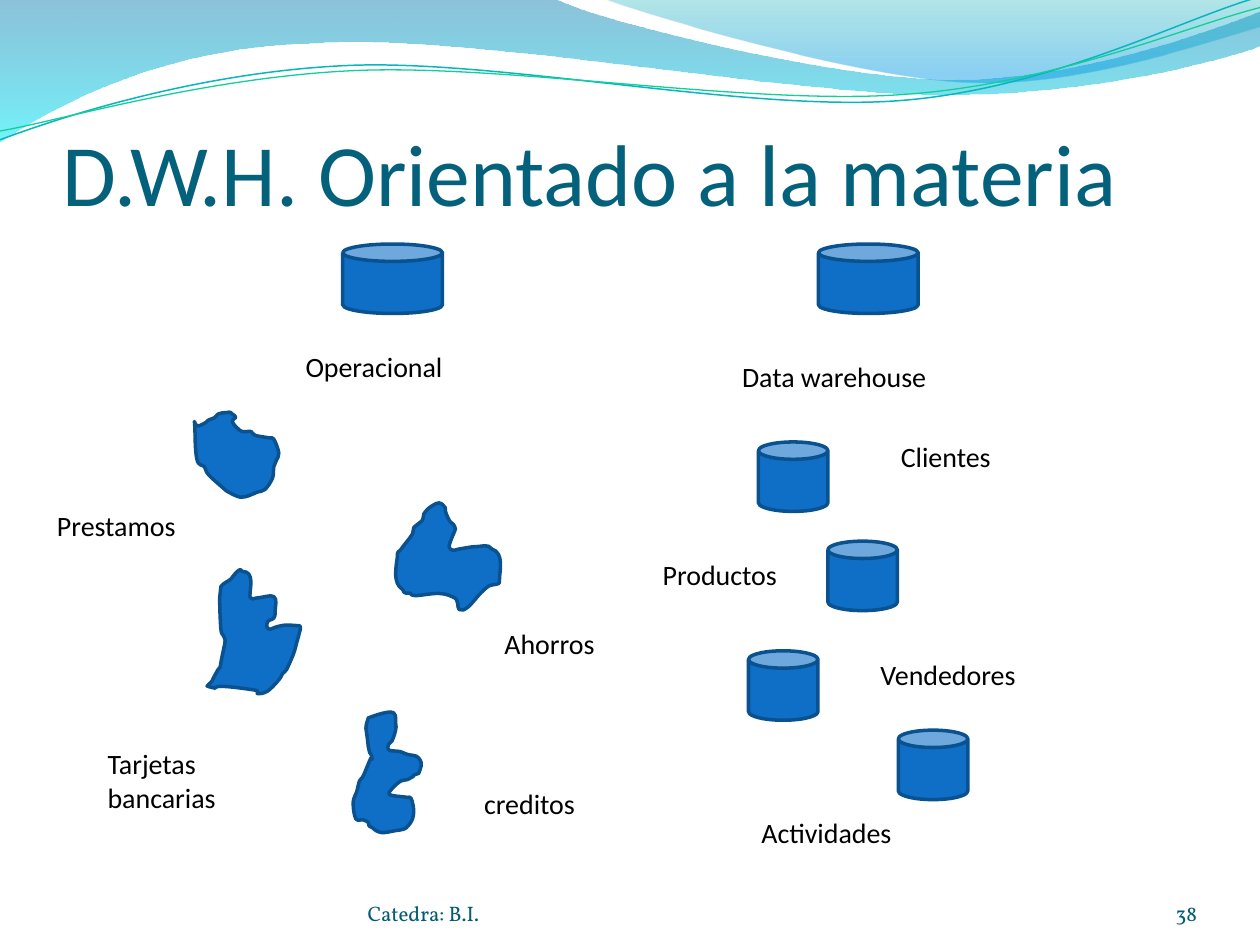
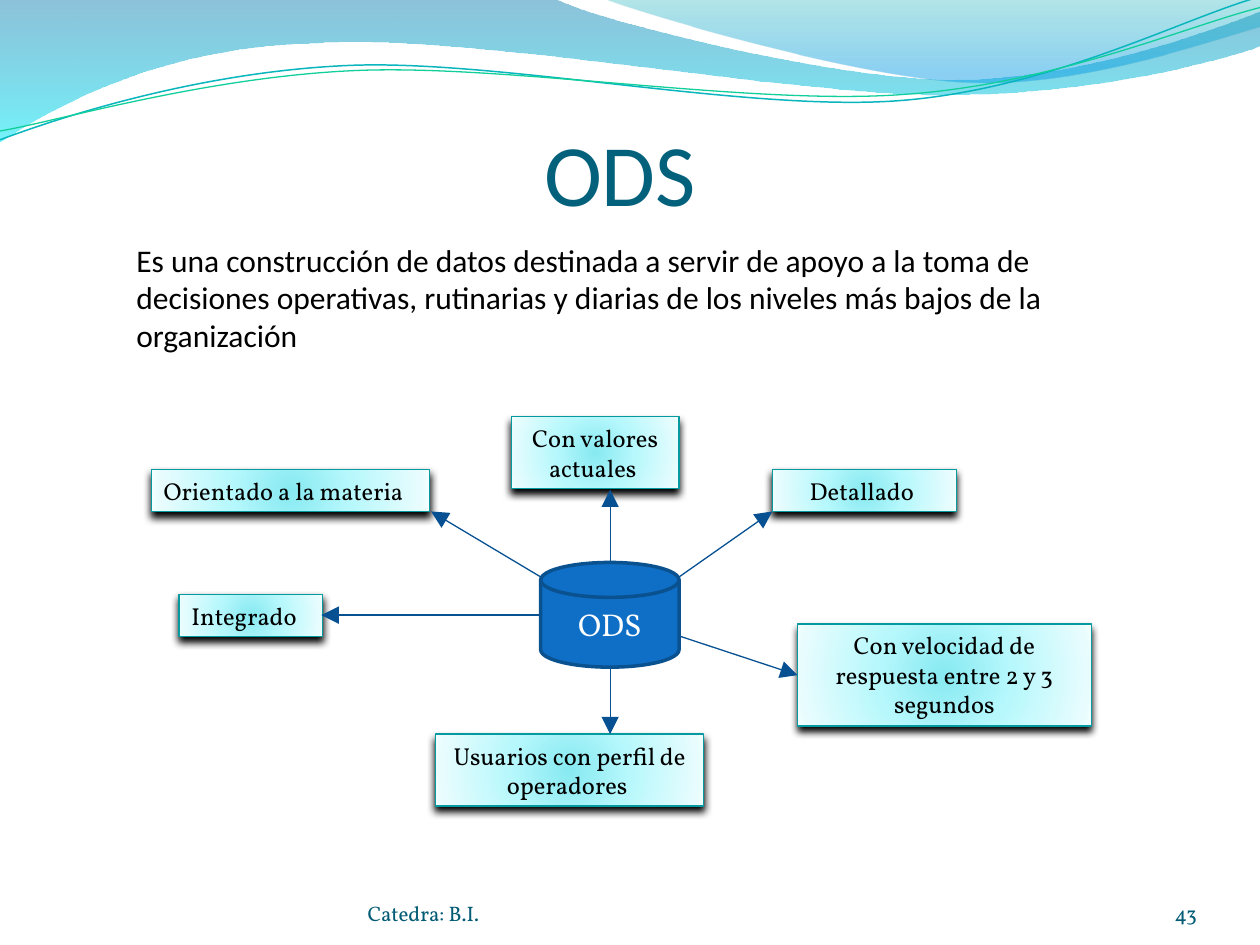
from lxml import etree
from pptx import Presentation, util as u
from pptx.dml.color import RGBColor
from pptx.enum import shapes, text
from pptx.oxml.ns import nsdecls, qn

BLACK = RGBColor(0, 0, 0)
WHITE = RGBColor(255, 255, 255)
TITLE = RGBColor(0x04, 0x61, 0x7B)
FOOT = RGBColor(0x03, 0x5C, 0x75)
BLUE = RGBColor(0x0F, 0x6F, 0xC6)
EDGE = RGBColor(0x0A, 0x51, 0x90)
ARROW = RGBColor(0x07, 0x51, 0x92)
TEAL = RGBColor(0x05, 0x99, 0xA0)
WAVE = RGBColor(0x09, 0xB6, 0xBE)
GREEN = RGBColor(0x10, 0xCF, 0x9B)

SANS, SERIF = "Calibri", "Vollkorn"
ALIGN, ANCHOR = text.PP_ALIGN, text.MSO_ANCHOR
CAN = shapes.MSO_SHAPE.CAN
DISK = shapes.MSO_SHAPE.FLOWCHART_MAGNETIC_DISK
RECT = shapes.MSO_SHAPE.RECTANGLE
GRID = u.Cm(2.54) / 100  # unit of the outlines below
FINE = 100  # steps per unit, so that handles are not rounded off

DOWN = '<a:lin ang="5400000" scaled="0"/>'
ROUND = ('<a:path path="circle"><a:fillToRect l="50000" t="50000" '
         'r="50000" b="50000"/></a:path>')
GLOW = [(0, "87E9F1", 100), (43, "B6F8FC", 100),
        (93, "E8FCFE", 100), (100, "F6FFFF", 100)]

# Outlines: start point, then line ends (x, y) or curves (two handles, end)
BANDS = [
    ([(0, 0), (440, -1), (476, 17, 664, 63, 758, 63),
      (853, 63, 958, 26, 1000, 9), (1001, 36),
      (983, 44, 870, 76, 746, 75), (622, 75, 382, 28, 257, 34),
      (129, 36, 46, 83, -1, 113)],
     [(0, "0079AD", 45), (100, "00E9F7", 55)]),
    ([(479, -1), (509, 11, 682, 62, 769, 65), (856, 69, 961, 32, 1000, 21),
      (1000, 0)],
     [(0, "00ABB4", 30), (80, "0099E4", 45), (100, "0099E4", 45)]),
]
THREADS = [
    ([(0, 111), (48, 93, 158, 57, 277, 52), (395, 47, 593, 89, 713, 80),
      (833, 71, 938, 15, 998, -2)], WAVE, 0.85),
    ([(0, 104), (47, 96, 164, 61, 283, 56), (403, 51, 597, 84, 717, 75),
      (836, 67, 941, 21, 1000, 6)], GREEN, 0.75),
]
LOANS = [(0, 7), (1, 17, 0, 27, 2, 37), (8, 43), (11, 49), (23, 60), (27, 63),
         (36, 67), (43, 66), (50, 63), (56, 61), (62, 52), (63, 43), (65, 38),
         (67, 32), (63, 21), (59, 20), (48, 18), (45, 15), (36, 14),
         (22, 2, 39, 7, 30, 1), (25, 0), (19, 1), (16, 4), (11, 6), (7, 9),
         (0, 13, 1, 8, 0, 7)]
SAVINGS = [(16, 25), (7, 37), (4, 43), (3, 51, 0, 64, 8, 69), (14, 72),
           (19, 74), (30, 73, 38, 70, 48, 75), (53, 85), (60, 83), (70, 72),
           (77, 66), (82, 65), (85, 61), (85, 55, 89, 40, 79, 37), (67, 35),
           (53, 37), (48, 38), (45, 35), (48, 26), (50, 21), (48, 17),
           (45, 14), (38, 0, 46, 8, 39, 1), (31, 3), (25, 9), (24, 14),
           (17, 20)]
CARDS = [(20, 21), (21, 46), (23, 51), (24, 58), (17, 89, 24, 68, 17, 81),
         (12, 90, 16, 85, 10, 91), (27, 96, 0, 87, 47, 94), (50, 97),
         (58, 95), (67, 86), (70, 81), (73, 78), (78, 67), (80, 61),
         (81, 57), (85, 43, 81, 57, 84, 46), (81, 43),
         (70, 42, 67, 43, 60, 46), (58, 40), (63, 37), (64, 32),
         (64, 28, 66, 22, 63, 20), (50, 21), (44, 20),
         (44, 13, 48, 0, 38, 0), (33, 1), (29, 6), (21, 12)]
CREDIT = [(14, 38), (8, 52), (5, 56), (3, 64), (0, 73), (2, 86), (8, 87),
          (12, 89), (15, 93), (22, 100, 27, 96, 37, 95), (45, 90), (48, 81),
          (46, 70), (42, 69), (29, 67), (31, 62), (38, 56), (43, 55),
          (55, 49, 41, 54, 52, 50), (53, 47, 56, 42, 52, 38), (43, 35),
          (35, 32, 40, 33, 29, 32), (28, 27), (31, 24), (34, 13),
          (33, 10, 35, 4, 32, 2), (28, 0, 18, 4, 12, 6),
          (9, 16, 10, 10, 12, 29), (14, 39, 14, 31, 15, 39)]


def write(shape, words, size=16, face=SANS, color=BLACK, align=ALIGN.LEFT,
          anchor=ANCHOR.TOP, pad=(0.25, 0.13, 0.25, 0.13)):
    frame = shape.text_frame
    frame.word_wrap = True
    frame.vertical_anchor = anchor
    (frame.margin_left, frame.margin_top,
     frame.margin_right, frame.margin_bottom) = map(u.Cm, pad)
    para = frame.paragraphs[0]
    para.text = words
    para.alignment = align
    para.font.size = u.Pt(size)
    para.font.name = face
    para.font.color.rgb = color


def label(slide, words, box, **form):
    write(slide.shapes.add_textbox(*map(u.Cm, box)), words, **form)


def paint(shape, fill=BLUE, line=EDGE, width=2):
    """Set flat fill and line; None leaves either one out."""
    shape.shadow.inherit = False
    for part, color in ((shape.fill, fill), (shape.line.fill, line)):
        if color is None:
            part.background()
        else:
            part.solid()
            part.fore_color.rgb = color
    if line is not None:
        shape.line.width = u.Pt(width)


def blend(shape, stops, course):
    """Put a gradient in place of an empty fill."""
    marks = "".join(
        f'<a:gs pos="{pos * 1000}"><a:srgbClr val="{color}">'
        f'<a:alpha val="{alpha * 1000}"/></a:srgbClr></a:gs>'
        for pos, color, alpha in stops)
    grad = etree.fromstring(f'<a:gradFill {nsdecls("a")} rotWithShape="1">'
                            f'<a:gsLst>{marks}</a:gsLst>{course}</a:gradFill>')
    props = shape._element.spPr
    props.replace(props.find(qn("a:noFill")), grad)


def solid(slide, kind, box, **form):
    shape = slide.shapes.add_shape(kind, *map(u.Cm, box))
    paint(shape, **form)
    return shape


def soften(route):
    """Turn the lines of a closed outline into curves through its points."""
    ends = [piece[-2:] for piece in route]
    smooth = route[:1]
    for i, piece in enumerate(route[1:], 1):
        if len(piece) == 2:
            a, b, c, d = (ends[(i + k) % len(ends)] for k in (-2, -1, 0, 1))
            piece = (b[0] + (c[0] - a[0]) / 6, b[1] + (c[1] - a[1]) / 6,
                     c[0] - (d[0] - b[0]) / 6, c[1] - (d[1] - b[1]) / 6, *c)
        smooth.append(piece)
    return smooth


def trace(slide, route, x=0, y=0, close=True):
    """Draw an outline of lines and curves."""
    spots = [(piece[k] * FINE, piece[k + 1] * FINE)
             for piece in route for k in range(0, len(piece), 2)]
    pen = slide.shapes.build_freeform(*spots[0], scale=GRID / FINE)
    pen.add_line_segments(spots[1:], close=close)
    shape = pen.convert_to_shape(u.Cm(x), u.Cm(y))
    track = next(shape._element.spPr.iter(qn("a:path")))
    steps = iter(track.findall(qn("a:lnTo")))
    for piece in route[1:]:
        curve = next(steps)
        if len(piece) == 6:
            curve.tag = qn("a:cubicBezTo")
            for extra in (next(steps), next(steps)):
                curve.append(extra[0])
                track.remove(extra)
    return shape


def base(deck, title, page, align=ALIGN.LEFT):
    """Slide with waves, title and footer."""
    slide = deck.slides.add_slide(deck.slide_layouts[6])
    for route, stops in BANDS:
        band = trace(slide, route)
        paint(band, fill=None, line=None)
        blend(band, stops, DOWN)
    for route, color, width in THREADS:
        paint(trace(slide, route, close=False), None, color, width)
    label(slide, title, (1.27, 1.95, 22.86, 2.56), size=50, color=TITLE,
          align=align, anchor=ANCHOR.BOTTOM, pad=(0, 0.13, 0, 0))
    foot = dict(size=12, face=SERIF, color=FOOT, anchor=ANCHOR.BOTTOM,
                pad=(0, 0, 0, 0))
    label(slide, "Catedra: B.I.", (7.41, 17.65, 9.32, 1.02), **foot)
    label(slide, str(page), (22.02, 17.65, 2.11, 1.02), align=ALIGN.RIGHT,
          **foot)
    return slide


def oper(slide, x, y):
    """Operational store and its loose applications."""
    solid(slide, CAN, (x + 6.01, y, 2.01, 1.4))
    label(slide, "Operacional", (x + 5.01, y + 2, 3.6, 0.94))
    for words, dx, dy, route, bx, by in (
            ("Prestamos", 0, 5.2, LOANS, 3.02, 3.4),
            ("Ahorros", 9.02, 7.59, SAVINGS, 7.01, 5.21),
            ("Tarjetas bancarias", 1.02, 10, CARDS, 3.02, 6.6),
            ("creditos", 8.61, 10.8, CREDIT, 6.22, 9.4)):
        paint(trace(slide, soften(route), x + bx, y + by))
        label(slide, words, (x + dx, y + dy, 3.6, 0.94))


def house(slide, x, y):
    """Data warehouse and its subjects."""
    solid(slide, CAN, (x + 3.39, y, 2.01, 1.4))
    label(slide, "Data warehouse", (x + 1.6, y + 2.2, 5.21, 0.94))
    for words, dx, dy, cx, cy in (
            ("Clientes", 4.8, 3.81, 2.18, 3.99),
            ("Productos", 0, 6.2, 3.58, 5.99),
            ("Vendedores", 4.39, 8.2, 1.98, 8.2),
            ("Actividades", 1.99, 11.4, 5, 9.8)):
        solid(slide, CAN, (x + cx, y + cy, 1.4, 1.4))
        label(slide, words, (x + dx, y + dy, 3.6, 0.94))


def card(slide, words, box, align):
    """Glowing box with a shadow below it."""
    shape = solid(slide, RECT, box, fill=None, line=TEAL, width=0.75)
    blend(shape, GLOW, ROUND)
    shape._element.spPr.find(qn("a:effectLst")).append(etree.fromstring(
        f'<a:outerShdw {nsdecls("a")} blurRad="{u.Pt(4.5)}" '
        f'dist="{u.Pt(3)}" dir="5400000" rotWithShape="0">'
        '<a:srgbClr val="000000"/></a:outerShdw>'))
    write(shape, words, size=14, face=SERIF, align=align)


def arrow(slide, start, tip):
    line = slide.shapes.add_connector(shapes.MSO_CONNECTOR.STRAIGHT,
                                      *map(u.Cm, start + tip))
    line.line.color.rgb = ARROW
    line.line.width = u.Pt(0.75)
    props = line._element.spPr
    etree.SubElement(props.find(qn("a:ln")), qn("a:tailEnd"),
                     type="triangle", w="lg", len="lg")
    etree.SubElement(props, qn("a:effectLst"))


def star(slide, x, y):
    """Central store with its traits around it."""
    disk = solid(slide, DISK, (x + 7.85, y + 2.94, 2.79, 2.11))
    write(disk, "ODS", size=18, face=SERIF, color=WHITE, align=ALIGN.CENTER,
          anchor=ANCHOR.MIDDLE)
    mid, left = ALIGN.CENTER, ALIGN.LEFT
    for words, align, (dx, dy, w, h), start, tip in (
            ("Orientado a la materia", left, (0, 1.06, 5.61, 0.86),
             (7.85, 3.23), (5.64, 1.91)),
            ("Integrado", left, (0.56, 3.58, 2.9, 0.86),
             (7.85, 4), (3.43, 4)),
            ("Con valores actuales ", mid, (7.26, 0, 3.38, 1.45),
             (9.25, 2.95), (9.25, 1.47)),
            ("Detallado ", mid, (12.52, 1.06, 3.71, 0.86),
             (10.64, 3.23), (12.52, 1.91)),
            ("Con velocidad de respuesta entre 2 y 3 segundos", mid,
             (13.03, 4.18, 5.92, 2.06), (10.64, 4.42), (13.03, 5.21)),
            ("Usuarios con perfil de operadores ", mid,
             (5.73, 6.4, 5.41, 1.45), (9.25, 5.05), (9.25, 6.4))):
        card(slide, words, (x + dx, y + dy, w, h), align)
        arrow(slide, (x + start[0], y + start[1]), (x + tip[0], y + tip[1]))


def main():
    deck = Presentation()
    deck.slide_width, deck.slide_height = u.Cm(25.4), u.Cm(19.05)

    # Subject orientation
    slide = base(deck, "D.W.H. Orientado a la materia", 38)
    oper(slide, 0.9, 4.92)
    house(slide, 13.11, 4.92)

    # Operational data store
    slide = base(deck, "ODS ", 43, align=ALIGN.CENTER)
    label(slide, "Es una construcción de datos destinada a servir de apoyo a "
          "la toma de decisiones operativas, rutinarias y diarias de los "
          "niveles más bajos de la organización",
          (2.5, 4.72, 21.01, 2.57), size=18)
    star(slide, 3.05, 8.4)

    deck.save("out.pptx")


if __name__ == "__main__":
    main()
